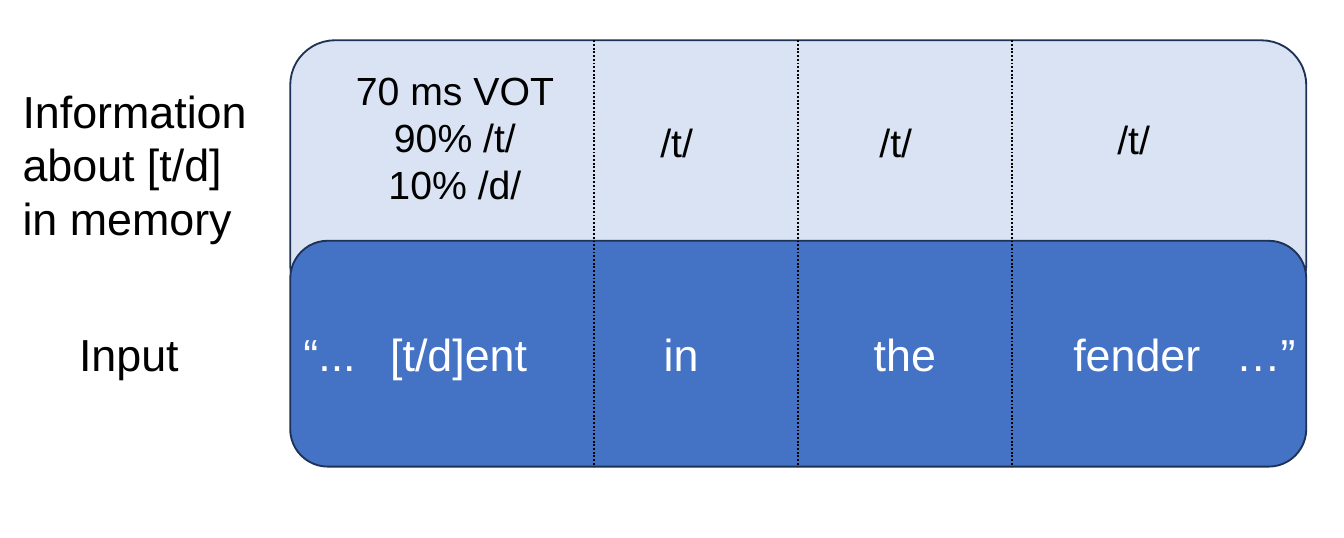
from lxml import etree
from pptx import Presentation
from pptx import util as u
from pptx.dml import color
from pptx.enum import dml, shapes, text
from pptx.oxml import ns


def rgb(value):
    """Turn a hex string into a colour."""
    return color.RGBColor.from_string(value)


def write_text(frame, content, font="Arial", size=24, ink="000000", align=None, tabs=()):
    """Write lines of text with one format and optional tab stops in points."""
    for index, line in enumerate(content.split("\n")):
        para = frame.add_paragraph() if index else frame.paragraphs[0]
        para.alignment = align
        span = para.add_run()
        span.text = line
        span.font.name = font
        span.font.size = u.Pt(size)
        span.font.color.rgb = rgb(ink)
        if tabs:
            stops = etree.SubElement(para._p.get_or_add_pPr(), ns.qn("a:tabLst"))
            for stop in tabs:
                etree.SubElement(stops, ns.qn("a:tab"), pos=str(u.Pt(stop)), algn="l")


class Diagram:
    """Hold the style and the current slide, and draw each kind of element."""

    outline = "1E3256"
    divider = "000000"
    weight = 1

    def __init__(self, page):
        """Keep the slide to draw on."""
        self.page = page

    def panel(self, left, top, width, height, fill):
        """Draw a rounded, outlined panel."""
        box = self.page.shapes.add_shape(
            shapes.MSO_SHAPE.ROUNDED_RECTANGLE,
            u.Pt(left), u.Pt(top), u.Pt(width), u.Pt(height))
        box.shadow.inherit = False
        box.fill.solid()
        box.fill.fore_color.rgb = rgb(fill)
        box.line.color.rgb = rgb(self.outline)
        box.line.width = u.Pt(self.weight)

    def label(self, left, top, width, height, content, **style):
        """Place a wrapping text box."""
        box = self.page.shapes.add_textbox(u.Pt(left), u.Pt(top), u.Pt(width), u.Pt(height))
        box.text_frame.word_wrap = True
        box.text_frame.auto_size = text.MSO_AUTO_SIZE.SHAPE_TO_FIT_TEXT
        write_text(box.text_frame, content, **style)

    def dotted_line(self, x, top, bottom):
        """Draw a vertical dotted divider."""
        rule = self.page.shapes.add_connector(
            shapes.MSO_CONNECTOR.STRAIGHT, u.Pt(x), u.Pt(top), u.Pt(x), u.Pt(bottom))
        rule.line.color.rgb = rgb(self.divider)
        rule.line.width = u.Pt(self.weight)
        rule.line.dash_style = dml.MSO_LINE.ROUND_DOT
        etree.SubElement(rule._element.spPr, ns.qn("a:effectLst"))


def main():
    """Build the slide on spoken input and remembered information."""
    deck = Presentation()
    deck.slide_width, deck.slide_height = u.Pt(720), u.Pt(288)
    diagram = Diagram(deck.slides.add_slide(deck.slide_layouts[6]))

    left, top, width, bottom = 155.5, 21.6, 544.3, 249.8
    input_top, words_top = 128.9, 171.4
    diagram.panel(left, top, width, 144, "DAE3F3")
    diagram.panel(left, input_top, width, bottom - input_top, "4472C4")

    diagram.label(35.3, words_top, 76.3, 36, "Input")
    diagram.label(5, 41, 140.4, 94.3, "Information about [t/d] in memory")
    diagram.label(left, words_top, 558.7, 36, "“...\t[t/d]ent\tin\tthe\tfender\t…”",
                  ink="FFFFFF", tabs=(46.5, 193, 305.5, 412.4, 499.5))

    for x in (318.2, 427.7, 542.2):
        diagram.dotted_line(x, top, bottom)

    memories = (
        (173.5, 31.7, 83.5, "70 ms VOT\n90% /t/\n10% /d/"),
        (292.3, 59.8, 33.8, "/t/"),
        (409.7, 59.8, 33.8, "/t/"),
        (537.1, 58.3, 33.8, "/t/"),
    )
    for x, y, height, content in memories:
        diagram.label(x, y, 140.4, height, content, size=21, align=text.PP_ALIGN.CENTER)

    deck.save("out.pptx")


if __name__ == "__main__":
    main()
